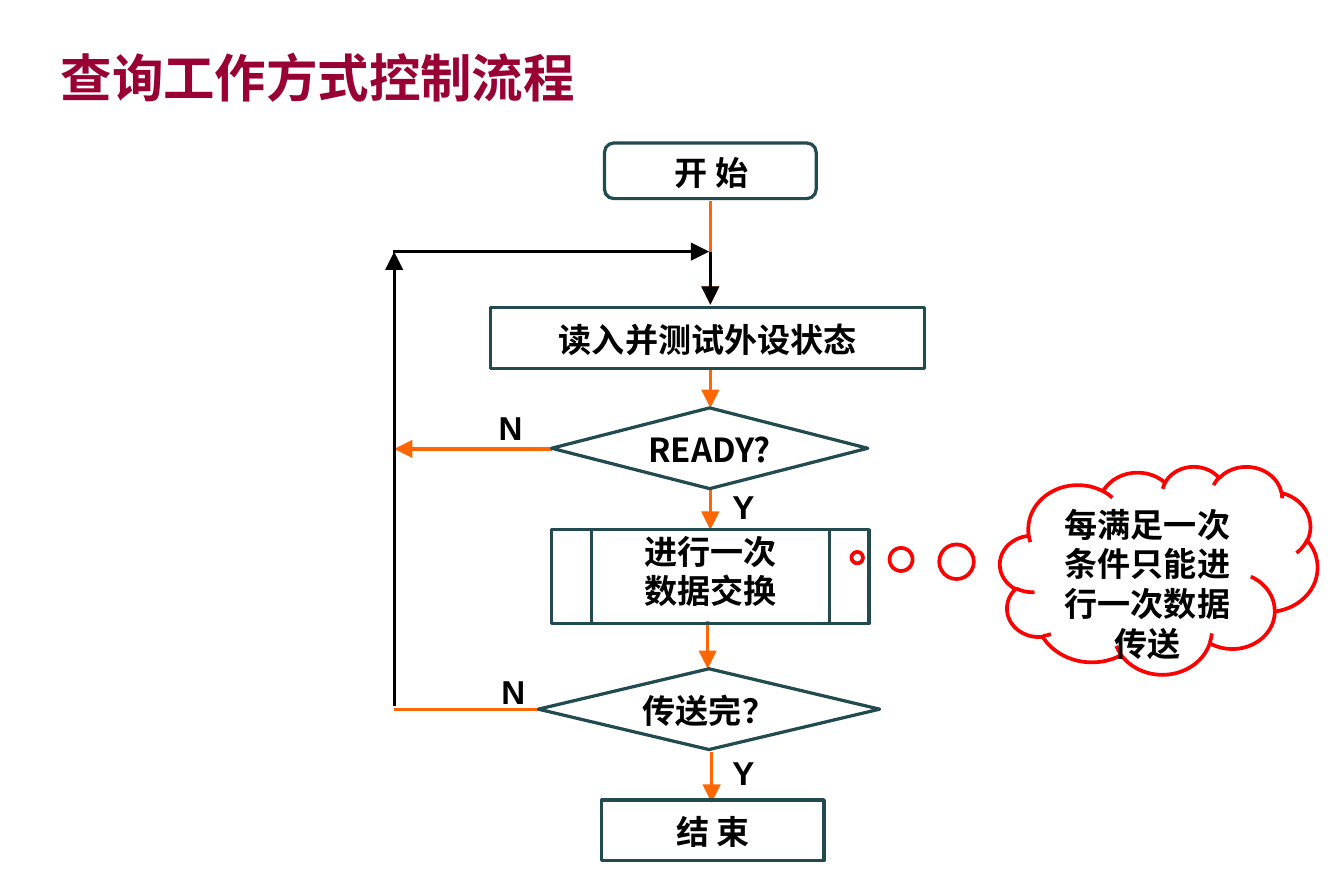
import pptx
import pptx.util
import pptx.dml.color
import pptx.enum.shapes
import pptx.enum.text
import pptx.oxml.ns
from lxml import etree

BLACK = pptx.dml.color.RGBColor(0x00, 0x00, 0x00)
CRIMSON = pptx.dml.color.RGBColor(0x99, 0x00, 0x33)
TEAL = pptx.dml.color.RGBColor(0x22, 0x4B, 0x50)
ORANGE = pptx.dml.color.RGBColor(0xFF, 0x66, 0x00)
RED = pptx.dml.color.RGBColor(0xFF, 0x00, 0x00)

CJK = "Noto Sans CJK SC"
LATIN = "Arial"
GEOMETRY = pptx.enum.shapes.MSO_SHAPE
ALIGN = pptx.enum.text.PP_ALIGN

SLIDE_WIDTH = pptx.util.Cm(25.8)
SLIDE_HEIGHT = pptx.util.Cm(17)
COLUMN = SLIDE_WIDTH / 1016
ROW = SLIDE_HEIGHT / 669


def place(box, column, row, columns, rows):
    return (round((box[0] + column) * COLUMN), round((box[1] + row) * ROW),
            round(columns * COLUMN), round(rows * ROW))


def write(holder, text, size=18, font=CJK, color=BLACK, align=ALIGN.CENTER,
          insets=(10, 5, 10, 5)):
    frame = holder.text_frame
    frame.word_wrap = True
    frame.auto_size = pptx.enum.text.MSO_AUTO_SIZE.NONE
    frame.vertical_anchor = pptx.enum.text.MSO_ANCHOR.TOP
    left, top, right, bottom = insets
    frame.margin_left, frame.margin_right = round(left * COLUMN), round(right * COLUMN)
    frame.margin_top, frame.margin_bottom = round(top * ROW), round(bottom * ROW)
    frame.text = text
    for paragraph in frame.paragraphs:
        paragraph.alignment = align
        paragraph.space_before = pptx.util.Pt(0)
        if font == CJK:
            paragraph.line_spacing = pptx.util.Pt(size * 1.2)
        for run in paragraph.runs:
            run.font.size = pptx.util.Pt(size)
            run.font.bold = True
            run.font.name = font
            run.font.color.rgb = color
            east_asian = etree.SubElement(run.font._element, pptx.oxml.ns.qn("a:ea"))
            east_asian.set("typeface", font)


def add_outline(slide, geometry, bounds, color=TEAL, weight=1.75):
    outline = slide.shapes.add_shape(geometry, *bounds)
    outline.shadow.inherit = False
    outline.fill.background()
    outline.line.color.rgb = color
    outline.line.width = pptx.util.Pt(weight)
    return outline


def add_flow_line(slide, box, start, end, color=ORANGE, arrow=True):
    begin_x, begin_y, _, _ = place(box, *start, 0, 0)
    end_x, end_y, _, _ = place(box, *end, 0, 0)
    flow_line = slide.shapes.add_connector(
        pptx.enum.shapes.MSO_CONNECTOR.STRAIGHT, begin_x, begin_y, end_x, end_y)
    flow_line.line.color.rgb = color
    flow_line.line.width = pptx.util.Pt(1.75)
    if arrow:
        tail = etree.SubElement(flow_line.line._get_or_add_ln(), pptx.oxml.ns.qn("a:tailEnd"))
        tail.set("type", "triangle")
        tail.set("w", "lg")
        tail.set("len", "lg")
    etree.SubElement(flow_line._element.spPr, pptx.oxml.ns.qn("a:effectLst"))


def add_heading(slide, box):
    heading = slide.shapes.title
    heading.left, heading.top, heading.width, heading.height = place(box, 0, 0, *box[2:])
    write(heading, "查询工作方式控制流程", size=28, color=CRIMSON, align=ALIGN.LEFT,
          insets=(10, 3, 10, 5))


def add_flowchart(slide, box):
    axis = 240
    loop_top = 82
    ready_row = 231
    done_row = 428

    for start, end, arrow in [
        ((axis, 44), (axis, 122), True),
        ((axis, 170), (axis, 200), True),
        ((axis, 262), (axis, 292), True),
        ((axis - 2, 361), (axis - 2, 397), True),
        ((axis + 1, 460), (axis + 1, 498), True),
        ((120, ready_row), (1, ready_row), True),
        ((116, done_row), (1, done_row), False),
    ]:
        add_flow_line(slide, box, start, end, arrow=arrow)

    for geometry, text, bounds, top_inset in [
        (GEOMETRY.FLOWCHART_PROCESS, "读入并测试外设状态", (74, 124, 328, 46), 9),
        (GEOMETRY.FLOWCHART_DECISION, "READY?", (120, 200, 239, 61), 1),
        (GEOMETRY.FLOWCHART_PREDEFINED_PROCESS, "进行一次\n数据交换", (120, 292, 240, 71), 1),
        (GEOMETRY.FLOWCHART_DECISION, "传送完？", (110, 397, 258, 61), 1),
        (GEOMETRY.FLOWCHART_PROCESS, "结 束", (158, 496, 168, 46), 9),
    ]:
        step = add_outline(slide, geometry, place(box, *bounds))
        write(step, text, insets=(10, top_inset, 10, 5))

    add_outline(slide, GEOMETRY.FLOWCHART_ALTERNATE_PROCESS, place(box, 160, 0, 160, 42))
    start_label = slide.shapes.add_textbox(*place(box, 203, 2, 96, 40))
    write(start_label, "开 始", align=ALIGN.LEFT)

    for answer, column, row in [("N", 73, 200), ("Y", 249, 259),
                                ("N", 75, 399), ("Y", 249, 460)]:
        branch_label = slide.shapes.add_textbox(*place(box, column, row, 32, 30))
        write(branch_label, answer, font=LATIN, insets=(0, 0, 0, 0))

    for start, end in [((1, done_row - 3), (1, loop_top)),
                       ((0, loop_top), (axis - 1, loop_top)),
                       ((axis, loop_top), (axis, 122))]:
        add_flow_line(slide, box, start, end, color=BLACK)


def add_remark(slide, box):
    remark = add_outline(slide, GEOMETRY.CLOUD_CALLOUT, place(box, 0, 0, *box[2:]),
                         color=RED, weight=2)
    remark.adjustments[0] = -0.95
    remark.adjustments[1] = -0.06
    write(remark, "每满足一次条件只能进行一次数据传送")


def main():
    deck = pptx.Presentation()
    deck.slide_width = SLIDE_WIDTH
    deck.slide_height = SLIDE_HEIGHT
    slide = deck.slides.add_slide(deck.slide_layouts[5])
    add_heading(slide, (36, 32, 448, 57))
    add_flowchart(slide, (297, 108, 402, 542))
    add_remark(slide, (756, 352, 240, 157))
    deck.save("out.pptx")


if __name__ == "__main__":
    main()
